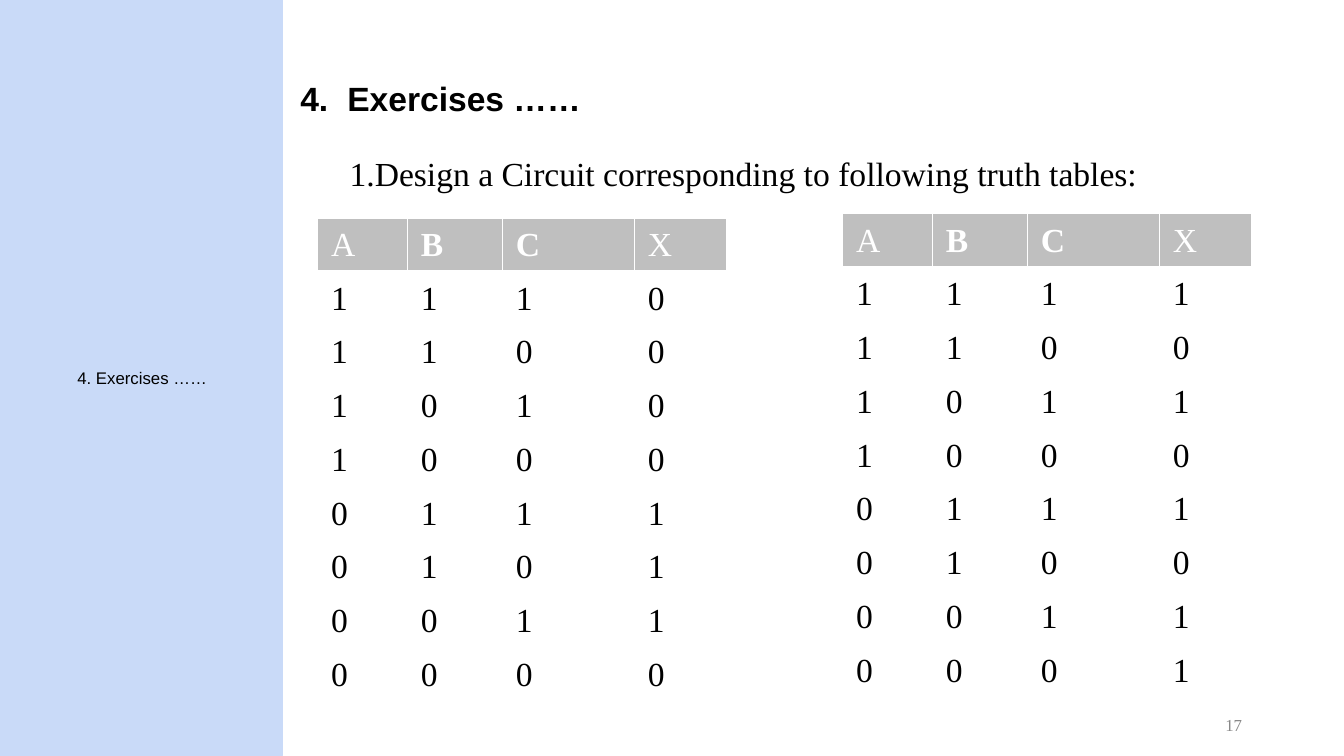
from itertools import product
from lxml.etree import SubElement
from pptx import Presentation
from pptx.dml.color import RGBColor
from pptx.enum.shapes import MSO_SHAPE
from pptx.enum.text import MSO_ANCHOR, PP_ALIGN
from pptx.oxml.ns import qn
from pptx.util import Pt

BLACK = RGBColor(0x00, 0x00, 0x00)
WHITE = RGBColor(0xFF, 0xFF, 0xFF)
PALE_BLUE = RGBColor(0xC9, 0xDA, 0xF8)
HEADER_GREY = RGBColor(0xBF, 0xBF, 0xBF)
NUMBER_GREY = RGBColor(0x88, 0x88, 0x88)
SANS, SERIF = "Arial", "Times New Roman"

TITLE = "4.\tExercises ……"
TASK = "1.Design a Circuit corresponding to following truth tables:"
SIDEBAR_LABEL = "4. Exercises ……"
PAGE_NUMBER = "17"
HEADER = ("A", "B", "C", "X")
BOLD_HEADERS = ("B", "C")
INPUTS = list(product((1, 0), repeat=3))
TRUTH_TABLES = [
    {"left": 602, "top": 152.7, "outputs": (1, 0, 1, 0, 1, 0, 1, 1)},
    {"left": 227, "top": 155.7, "outputs": (0, 0, 0, 0, 1, 1, 1, 0)},
]
COLUMN_WIDTHS = (64, 68, 94.3, 66)
ROW_HEIGHT = 38.3
TITLE_TAB = 33.6


def style(paragraph, font_name, size, color, bold=False):
    for run in paragraph.runs:
        run.font.name = font_name
        run.font.size = Pt(size)
        run.font.bold = bold
        run.font.color.rgb = color


def add_label(slide, text, box, font_name, size, color, bold=False, anchor=MSO_ANCHOR.TOP):
    label = slide.shapes.add_textbox(*map(Pt, box))
    frame = label.text_frame
    frame.word_wrap = True
    frame.vertical_anchor = anchor
    frame.text = text
    paragraph = frame.paragraphs[0]
    style(paragraph, font_name, size, color, bold)
    return paragraph


def add_borders(cell, widths):
    properties = cell._tc.get_or_add_tcPr()
    for side, width in widths.items():
        border = SubElement(properties, qn("a:" + side), w=str(Pt(width)))
        fill = SubElement(border, qn("a:solidFill"))
        SubElement(fill, qn("a:srgbClr"), val=str(WHITE))


def add_truth_table(slide, left, top, outputs):
    rows = [HEADER] + [(*inputs, x) for inputs, x in zip(INPUTS, outputs)]
    table = slide.shapes.add_table(
        len(rows), len(HEADER), Pt(left), Pt(top),
        Pt(sum(COLUMN_WIDTHS)), Pt(ROW_HEIGHT * len(rows))).table
    table.first_row = False
    table.horz_banding = False
    for column, width in zip(table.columns, COLUMN_WIDTHS):
        column.width = Pt(width)
    for r, values in enumerate(rows):
        table.rows[r].height = Pt(ROW_HEIGHT)
        for c, value in enumerate(values):
            cell = table.cell(r, c)
            add_borders(cell, {"lnL": 1, "lnR": 1, "lnT": 3 if r == 1 else 1,
                               "lnB": 3 if r == 0 else 1})
            cell.fill.solid()
            cell.fill.fore_color.rgb = WHITE if r else HEADER_GREY
            cell.vertical_anchor = MSO_ANCHOR.MIDDLE
            cell.margin_left = cell.margin_right = Pt(9.6)
            cell.margin_top = cell.margin_bottom = Pt(4.8)
            cell.text_frame.text = str(value)
            style(cell.text_frame.paragraphs[0], SERIF, 24,
                  BLACK if r else WHITE, value in BOLD_HEADERS)


def main():
    deck = Presentation()
    deck.slide_width, deck.slide_height = Pt(960), Pt(540)
    slide = deck.slides.add_slide(deck.slide_layouts[6])

    sidebar = slide.shapes.add_shape(
        MSO_SHAPE.RECTANGLE, Pt(0), Pt(-0.7), Pt(201.6), Pt(540.7))
    sidebar.shadow.inherit = False
    sidebar.fill.solid()
    sidebar.fill.fore_color.rgb = PALE_BLUE
    sidebar.line.color.rgb = PALE_BLUE
    sidebar.line.width = Pt(0.75)

    title = add_label(slide, TITLE, (207.4, 19.4, 828, 104.4), SANS, 24, BLACK,
                      True, MSO_ANCHOR.MIDDLE)
    title.line_spacing = 0.9
    tabs = SubElement(title._p.get_or_add_pPr(), qn("a:tabLst"))
    SubElement(tabs, qn("a:tab"), pos=str(Pt(TITLE_TAB)), algn="l")

    add_label(slide, TASK, (242.6, 105.8, 651.6, 36.7), SERIF, 24, BLACK)
    for truth_table in TRUTH_TABLES:
        add_truth_table(slide, **truth_table)
    number = add_label(slide, PAGE_NUMBER, (729.4, 502.6, 164.9, 29.5), SERIF, 12,
                       NUMBER_GREY, anchor=MSO_ANCHOR.MIDDLE)
    number.alignment = PP_ALIGN.RIGHT
    add_label(slide, SIDEBAR_LABEL, (48.2, 259.2, 275.8, 21.6), SANS, 12, BLACK)

    deck.save("out.pptx")


if __name__ == "__main__":
    main()
